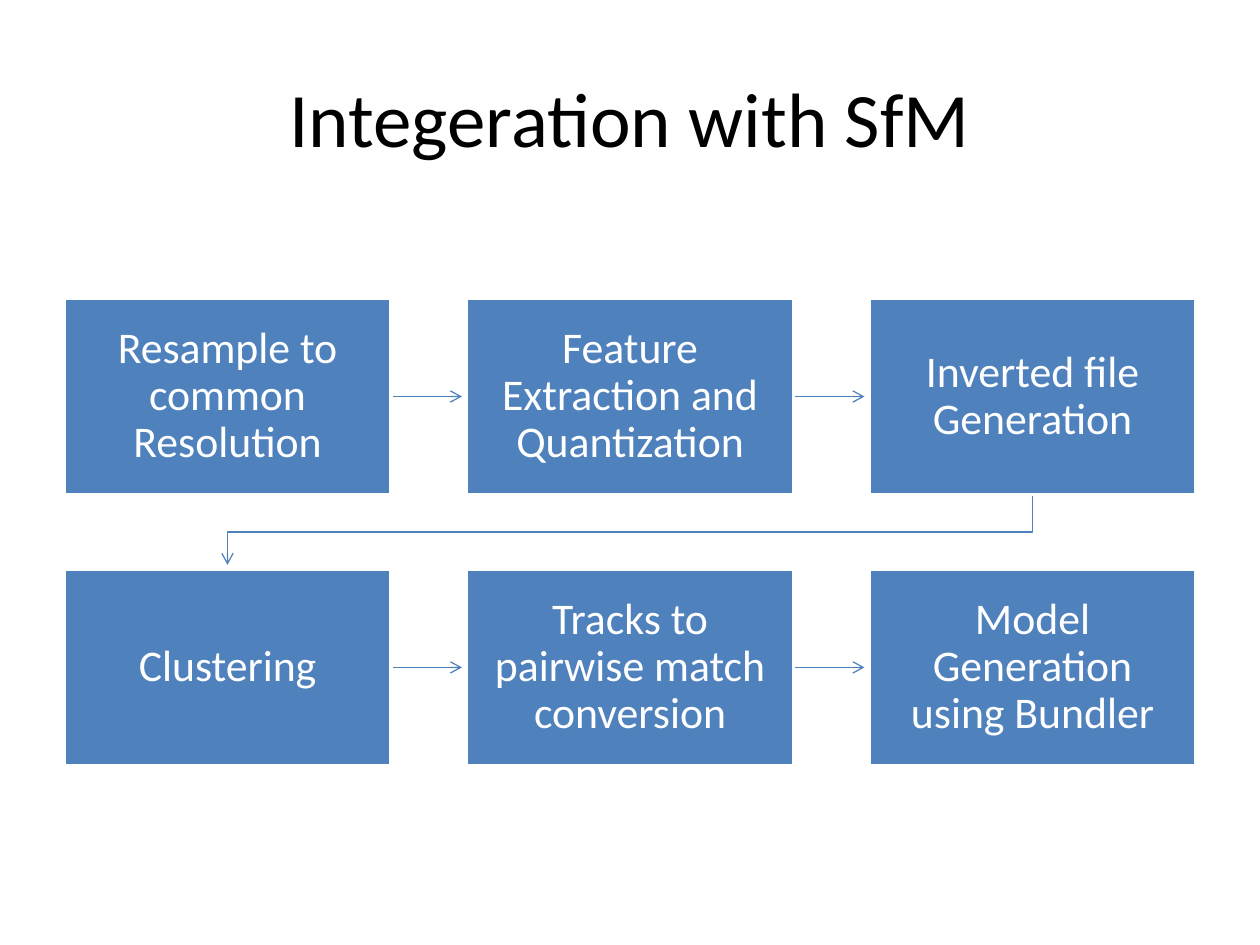
from pptx import Presentation
from pptx.dml.color import RGBColor
from pptx.enum.shapes import MSO_CONNECTOR, MSO_SHAPE
from pptx.enum.text import MSO_ANCHOR, PP_ALIGN
from pptx.oxml.ns import qn
from pptx.util import Pt
from lxml.etree import SubElement

FONT = "Calibri"
BLUE, WHITE, BLACK = "4F81BD", "FFFFFF", "000000"
STEPS = [
    ["Resample to common Resolution", "Feature Extraction and Quantization",
     "Inverted file Generation"],
    ["Clustering", "Tracks to pairwise match conversion",
     "Model Generation using Bundler"],
]
BOX_W, BOX_H = 187, 112.2
ARROW_GAP = 2.5  # space between an arrowhead and the box it points to


def rgb(value):
    return RGBColor.from_string(value)


def set_text(sp, text, size, color, inset):
    tf = sp.text_frame
    tf.word_wrap = True
    tf.vertical_anchor = MSO_ANCHOR.MIDDLE
    tf.margin_left = tf.margin_right = Pt(inset[0])
    tf.margin_top = tf.margin_bottom = Pt(inset[1])
    p = tf.paragraphs[0]
    p.text = text
    p.alignment = PP_ALIGN.CENTER
    p.font.name, p.font.size, p.font.color.rgb = FONT, Pt(size), rgb(color)
    return p


def style_arrow(sp):
    """Give a connector or open outline a thin blue line with an arrowhead."""
    sp.line.color.rgb = rgb(BLUE)
    sp.line.width = Pt(0.75)
    SubElement(sp.line._get_or_add_ln(), qn("a:tailEnd"), type="arrow")


def add_title(slide, text, left, top, width, height):
    sp = slide.shapes.add_textbox(Pt(left), Pt(top), Pt(width), Pt(height))
    set_text(sp, text, 44, BLACK, (7.2, 3.6))


def add_step(slide, text, left, top):
    sp = slide.shapes.add_shape(MSO_SHAPE.RECTANGLE, Pt(left), Pt(top),
                                Pt(BOX_W), Pt(BOX_H))
    sp.shadow.inherit = False
    sp.fill.solid()
    sp.fill.fore_color.rgb = rgb(BLUE)
    sp.line.color.rgb = rgb(WHITE)
    sp.line.width = Pt(2)
    p = set_text(sp, text, 25, WHITE, (13.7, 13.7))
    p.line_spacing = 0.9
    return sp


def add_straight_arrow(slide, x1, x2, y):
    arrow = slide.shapes.add_connector(MSO_CONNECTOR.STRAIGHT,
                                       Pt(x1), Pt(y), Pt(x2), Pt(y))
    style_arrow(arrow)
    SubElement(arrow._element.spPr, qn("a:effectLst"))
    return arrow


def add_return_arrow(slide, x1, y1, x2, y2):
    """Run down from the end of one row, back, and down to the next row."""
    middle = (y1 + y2 + ARROW_GAP) / 2
    builder = slide.shapes.build_freeform(Pt(x1), Pt(y1))
    builder.add_line_segments(
        [(Pt(x), Pt(y)) for x, y in ((x1, middle), (x2, middle), (x2, y2))],
        close=False)
    sp = builder.convert_to_shape()
    sp.shadow.inherit = False
    sp.fill.background()
    style_arrow(sp)


def add_flow(slide, rows, left, top, width, height):
    """Spread the steps over the box; arrows lie behind the step borders."""
    pitch_x = (width - BOX_W) / (len(rows[0]) - 1)
    pitch_y = (height - BOX_H) / (len(rows) - 1)
    lefts = [left + i * pitch_x for i in range(len(rows[0]))]
    tops = [top + i * pitch_y for i in range(len(rows))]
    for y, next_y in zip(tops, tops[1:]):
        add_return_arrow(slide, lefts[-1] + BOX_W / 2, y + BOX_H,
                         lefts[0] + BOX_W / 2, next_y - ARROW_GAP)
    for y, texts in zip(tops, rows):
        arrows = [add_straight_arrow(slide, x + BOX_W, next_x - ARROW_GAP,
                                     y + BOX_H / 2)
                  for x, next_x in zip(lefts, lefts[1:])]
        boxes = [add_step(slide, text, x, y) for text, x in zip(texts, lefts)]
        for arrow, box in zip(arrows, boxes):
            arrow.begin_connect(box, 3)


def main():
    prs = Presentation()
    prs.slide_width, prs.slide_height = Pt(720), Pt(540)
    slide = prs.slides.add_slide(prs.slide_layouts[6])
    add_title(slide, "Integeration with SfM", 36, 21.6, 648, 90)
    add_flow(slide, STEPS, 36.5, 170.5, 647, 267)
    prs.save("out.pptx")


if __name__ == "__main__":
    main()
